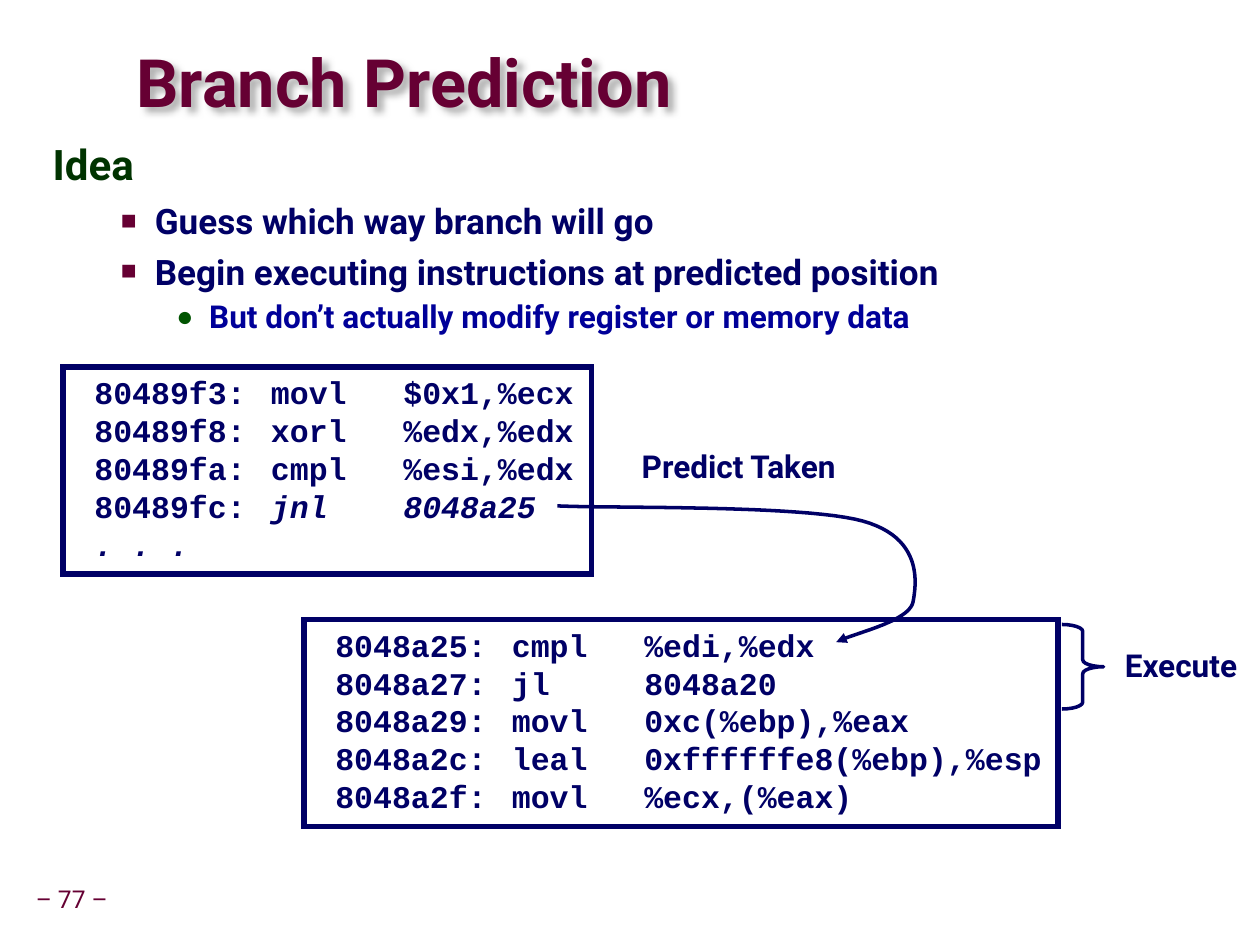
from lxml.etree import SubElement
from pptx import Presentation
from pptx.dml.color import RGBColor
from pptx.enum.shapes import MSO_SHAPE
from pptx.enum.text import MSO_ANCHOR, PP_ALIGN
from pptx.oxml.ns import qn
from pptx.util import Inches, Pt

COLORS = {"maroon": "660033", "green": "003300", "dot": "005400",
          "navy": "000066", "blue": "000099", "shadow": "B2B2B2"}
SANS, MONO = "Roboto", "Courier New"
CODE_TABS = (0.74, 1.55, 3.9, 5.07)

FALL_THROUGH = [
    (" 80489f3:\tmovl   $0x1,%ecx", ""),
    (" 80489f8:\txorl   %edx,%edx", ""),
    (" 80489fa:\tcmpl   %esi,%edx", ""),
    (" 80489fc:\t", "jnl    8048a25"),
    ("", " . . ."),
]
TARGET = [
    (" 8048a25:\tcmpl   %edi,%edx", ""),
    (" 8048a27:\tjl     8048a20", ""),
    (" 8048a29:\tmovl   0xc(%ebp),%eax", ""),
    (" 8048a2c:\tleal   0xffffffe8(%ebp),%esp", ""),
    (" 8048a2f:\tmovl   %ecx,(%eax)", ""),
]
JUMP_START = (4.42, 4.01)
JUMP_CURVES = [
    ((4.83, 4.03), (6.37, 4.0), (6.84, 4.13)),
    ((7.31, 4.26), (7.27, 4.61), (7.24, 4.77)),
    ((7.21, 4.93), (6.76, 5.02), (6.63, 5.09)),
]


def rgb(name):
    return RGBColor.from_string(COLORS[name])


def add_text(p, text, size=18, color="navy", font=SANS, bold=True, italic=False):
    r = p.add_run()
    r.text = text
    f = r.font
    f.size, f.name, f.bold, f.italic = Pt(size), font, bold, italic
    f.color.rgb = rgb(color)


def set_frame(tf, inset=(0.1, 0.05, 0.1, 0.05), anchor=MSO_ANCHOR.TOP, wrap=True):
    tf.word_wrap = wrap
    tf.vertical_anchor = anchor
    (tf.margin_left, tf.margin_top,
     tf.margin_right, tf.margin_bottom) = map(Inches, inset)
    return tf


def add_box(s, at, **frame):
    return set_frame(s.shapes.add_textbox(*map(Inches, at)).text_frame, **frame)


def set_line(sp, width):
    sp.shadow.inherit = False
    sp.fill.background()
    sp.line.color.rgb = rgb("navy")
    sp.line.width = Pt(width)


def add_title(s):
    sp = s.shapes.title
    sp.left, sp.top, sp.width, sp.height = map(Inches, (1.08, 0.37, 6.15, 0.63))
    tf = set_frame(sp.text_frame, inset=(0, 0, 0, 0), anchor=MSO_ANCHOR.MIDDLE)
    p = tf.paragraphs[0]
    p.alignment, p.line_spacing = PP_ALIGN.LEFT, 0.87
    add_text(p, "Branch Prediction", size=38, color="maroon")
    effects = SubElement(sp.fill._xPr, qn("a:effectLst"))
    shadow = SubElement(effects, qn("a:outerShdw"), blurRad=str(Pt(4)),
                        dist=str(Pt(4)), dir="2700000")
    SubElement(shadow, qn("a:srgbClr"), val=COLORS["shadow"])


def set_bullet(p, char, color, percent, indent, hanging):
    pPr = p._p.get_or_add_pPr()
    pPr.set("marL", str(Inches(indent)))
    pPr.set("indent", str(Inches(-hanging)))
    clr = SubElement(pPr, qn("a:buClr"))
    SubElement(clr, qn("a:srgbClr"), val=COLORS[color])
    SubElement(pPr, qn("a:buSzPct"), val=str(percent * 1000))
    SubElement(pPr, qn("a:buFont"), typeface="Arial")
    SubElement(pPr, qn("a:buChar"), char=char)


def add_idea(s):
    tf = add_box(s, (0.32, 1.08, 9.07, 1.75))
    p = tf.paragraphs[0]
    p.line_spacing = 0.95
    add_text(p, "Idea", size=24, color="green")
    for text in ("Guess which way branch will go",
                 "Begin executing instructions at predicted position"):
        p = tf.add_paragraph()
        p.level = 1
        set_bullet(p, "■", "maroon", 75, 0.81, 0.27)
        p.space_before = Pt(5)
        add_text(p, text, size=20)
    p = tf.add_paragraph()
    p.level = 2
    set_bullet(p, "●", "dot", 90, 1.24, 0.26)
    p.space_before, p.line_spacing = Pt(1.5), 1.07
    add_text(p, "But don’t actually modify register or memory data", color="blue")


def add_code(s, at, lines):
    """Draw a framed listing; each line is an upright part and an italic part."""
    sp = s.shapes.add_shape(MSO_SHAPE.RECTANGLE, *map(Inches, at))
    set_line(sp, 3)
    SubElement(sp.line._get_or_add_ln(), qn("a:miter"), lim="800000")
    tf = set_frame(sp.text_frame, inset=(0.1, 0.05, 0.02, 0.05))
    for i, (upright, italic) in enumerate(lines):
        p = tf.add_paragraph() if i else tf.paragraphs[0]
        p.alignment = PP_ALIGN.LEFT
        tabs = SubElement(p._p.get_or_add_pPr(), qn("a:tabLst"))
        for pos in CODE_TABS:
            SubElement(tabs, qn("a:tab"), pos=str(Inches(pos)), algn="l")
        for text, slanted in ((upright, False), (italic, True)):
            if text:
                add_text(p, text, font=MONO, italic=slanted)


def add_label(s, at, text):
    add_text(add_box(s, at).paragraphs[0], text)


def bezier(points, steps=24):
    """Points along a cubic curve, without its start."""
    for i in range(1, steps + 1):
        t = i / steps
        weights = ((1 - t) ** 3, 3 * t * (1 - t) ** 2, 3 * t * t * (1 - t), t ** 3)
        yield tuple(Inches(sum(w * pt[axis] for w, pt in zip(weights, points)))
                    for axis in (0, 1))


def add_jump_arrow(s):
    start, vertices = JUMP_START, []
    for curve in JUMP_CURVES:
        vertices += bezier((start, *curve))
        start = curve[-1]
    builder = s.shapes.build_freeform(*map(Inches, JUMP_START), scale=1.0)
    builder.add_line_segments(vertices, close=False)
    sp = builder.convert_to_shape()
    set_line(sp, 2)
    SubElement(sp.line._get_or_add_ln(), qn("a:tailEnd"), type="triangle")


def add_brace(s):
    sp = s.shapes.add_shape(MSO_SHAPE.RIGHT_BRACE,
                            *map(Inches, (8.42, 4.95, 0.33, 0.67)))
    sp.adjustments[0], sp.adjustments[1] = 0.167, 0.5
    set_line(sp, 2)


def add_page_number(s):
    tf = add_box(s, (0.23, 6.98, 0.68, 0.32), inset=(0.05,) * 4,
                 anchor=MSO_ANCHOR.MIDDLE, wrap=False)
    p = tf.paragraphs[0]
    p.alignment, p.line_spacing = PP_ALIGN.CENTER, 0.9
    add_text(p, "– 77 –", size=14, color="maroon", bold=False)


def main():
    prs = Presentation()
    prs.slide_width, prs.slide_height = Inches(9.99), Inches(7.49)
    s = prs.slides.add_slide(prs.slide_layouts[5])
    add_page_number(s)
    add_title(s)
    add_idea(s)
    add_code(s, (0.5, 2.91, 4.19, 1.64), FALL_THROUGH)
    add_code(s, (2.41, 4.91, 5.98, 1.64), TARGET)
    add_label(s, (4.99, 3.49, 1.84, 0.4), "Predict Taken")
    add_jump_arrow(s)
    add_brace(s)
    add_label(s, (8.82, 5.07, 1.17, 0.4), "Execute")
    prs.save("out.pptx")


if __name__ == "__main__":
    main()
